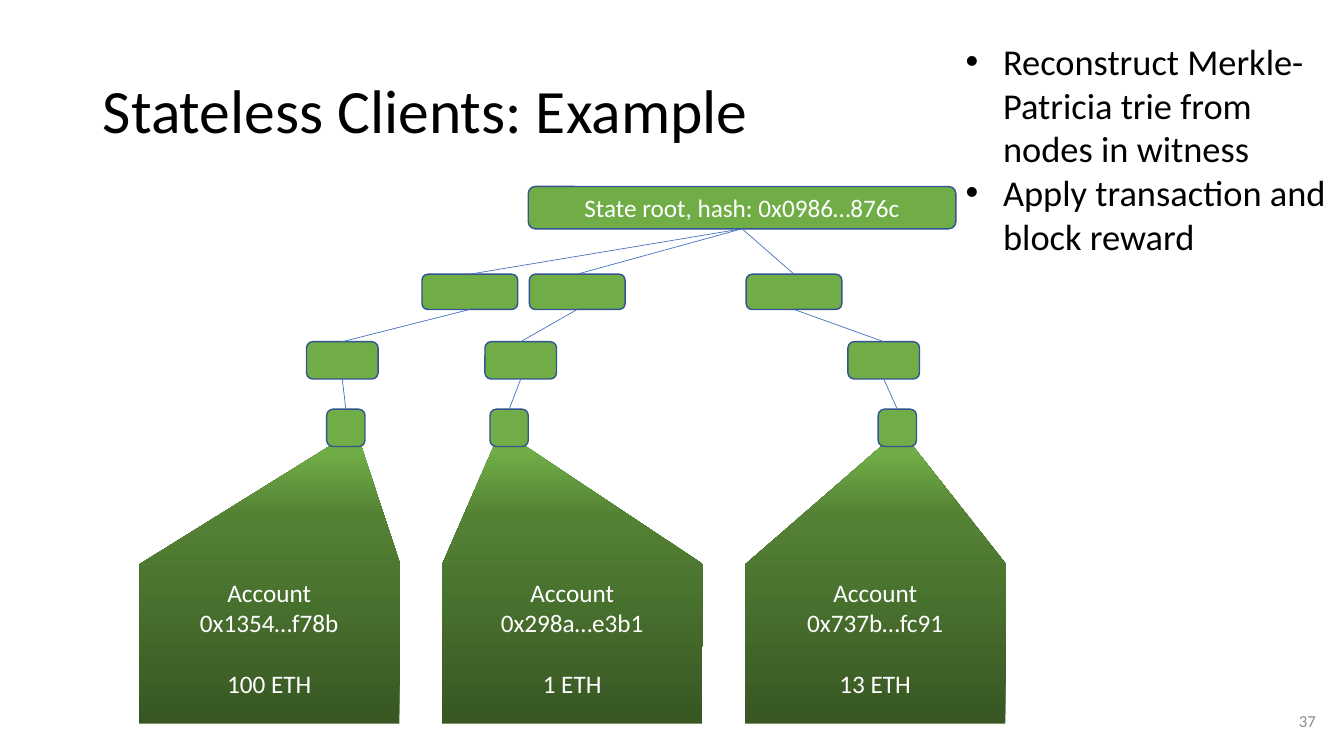
from copy import deepcopy

from lxml import etree
from pptx import Presentation
from pptx import util as u
from pptx.dml.color import RGBColor
from pptx.enum import shapes, text
from pptx.oxml import ns

BLACK = RGBColor(0x00, 0x00, 0x00)
WHITE = RGBColor(0xFF, 0xFF, 0xFF)
GREY = RGBColor(0x8C, 0x8C, 0x8C)
GREEN = RGBColor(0x70, 0xAD, 0x47)
MID_GREEN = RGBColor(0x54, 0x82, 0x35)
DARK_GREEN = RGBColor(0x38, 0x57, 0x23)
BORDER = RGBColor(0x32, 0x54, 0x91)
EDGE = RGBColor(0x44, 0x72, 0xC4)
FONT = "Calibri"

WIDTH, HEIGHT = u.Inches(13.33), u.Inches(7.5)
CELL = HEIGHT / 75
BRANCH_PITCH = 30.05
NODE_ROWS = [(8.7, 9.5, 3.5), (15.4, 7.1, 3.7), (22.1, 3.8, 3.7)]
BRANCHES = [
    ((32.8, 20.15, 20.5), "0x1354…f78b", "100 ETH"),
    ((43.45, 37.85, 36.7), "0x298a…e3b1", "1 ETH"),
    ((64.95, 73.85, 75.2), "0x737b…fc91", "13 ETH"),
]


def grid(*cells):
    return [u.Emu(round(cell * CELL)) for cell in cells]


def write(frame, lines, size, color=BLACK, align=text.PP_ALIGN.LEFT,
          anchor=text.MSO_ANCHOR.TOP, bullet=False, gaps=(), spacing=None):
    frame.word_wrap = True
    frame.vertical_anchor = anchor
    for index, line in enumerate(lines):
        paragraph = frame.paragraphs[0] if index == 0 else frame.add_paragraph()
        paragraph.alignment = align
        if spacing:
            paragraph.line_spacing = spacing
        if index in gaps:
            paragraph.space_before = u.Pt(size * 1.22)
        if bullet:
            properties = paragraph._p.get_or_add_pPr()
            indent = u.Inches(0.37)
            properties.set("marL", str(indent))
            properties.set("indent", str(-indent))
            etree.SubElement(properties, ns.qn("a:buFont"), typeface="Arial")
            etree.SubElement(properties, ns.qn("a:buChar"), char="•")
        run = paragraph.add_run()
        run.text = line
        run.font.name = FONT
        run.font.size = u.Pt(size)
        run.font.color.rgb = color


def add_text(slide, box, lines, size, **style):
    frame = slide.shapes.add_textbox(*grid(*box)).text_frame
    write(frame, lines, size, **style)


def add_title(slide, box, wording):
    title = slide.shapes.title
    title.left, title.top, title.width, title.height = grid(*box)
    write(title.text_frame, [wording], 44, anchor=text.MSO_ANCHOR.MIDDLE, spacing=0.9)


def add_node(slide, box):
    node = slide.shapes.add_shape(shapes.MSO_SHAPE.ROUNDED_RECTANGLE, *grid(*box))
    node.shadow.inherit = False
    node.fill.solid()
    node.fill.fore_color.rgb = GREEN
    node.line.color.rgb = BORDER
    node.line.width = u.Pt(1)
    return node


def join(slide, child, parent):
    edge = slide.shapes.add_connector(shapes.MSO_CONNECTOR.STRAIGHT, 0, 0, 0, 0)
    edge.begin_connect(child, 0)
    edge.end_connect(parent, 2)
    edge.line.color.rgb = EDGE
    edge.line.width = u.Pt(0.5)
    etree.SubElement(edge._element.spPr, ns.qn("a:effectLst"))


def add_subtree(slide, box, apex):
    left, top, width, height = box
    right, bottom = left + width, top + height
    shoulder = top + 11.8
    outline = [(apex - 1.5, top), (apex + 1.5, top), (right, shoulder),
               (right - 0.1, bottom), (left, bottom), (left, shoulder)]
    points = [grid(*point) for point in outline]
    builder = slide.shapes.build_freeform(*points[0])
    builder.add_line_segments(points[1:], close=True)
    subtree = builder.convert_to_shape()
    subtree.shadow.inherit = False
    subtree.line.fill.background()
    subtree.fill.gradient()
    subtree.fill.gradient_angle = 90
    stops = subtree._element.spPr.find(".//" + ns.qn("a:gsLst"))
    stops.append(deepcopy(stops[0]))
    shades = [(0, DARK_GREEN), (0.75, MID_GREEN), (0.98, GREEN)]
    for stop, (position, color) in zip(subtree.fill.gradient_stops, shades):
        stop.position = position
        stop.color.rgb = color


def add_state_tree(slide, box):
    left, top, _, height = box
    root = add_node(slide, (left + 38.6, top, 42.4, 4.2))
    write(root.text_frame, ["State root, hash: 0x0986…876c"], 18, color=WHITE,
          align=text.PP_ALIGN.CENTER, anchor=text.MSO_ANCHOR.MIDDLE)
    for index, (centres, address, balance) in enumerate(BRANCHES):
        account_left = left + index * BRANCH_PITCH
        add_subtree(slide, (account_left, top + 25.7, 25.9, height - 25.7),
                    left + centres[-1])
        parent = root
        for centre, (row, width, depth) in zip(centres, NODE_ROWS):
            node = add_node(slide, (left + centre - width / 2, top + row, width, depth))
            join(slide, node, parent)
            parent = node
        add_text(slide, (account_left, top + 38.3, 25.8, 13.1),
                 ["Account", address, balance], 18, color=WHITE,
                 align=text.PP_ALIGN.CENTER, gaps=(2,))


def main():
    deck = Presentation()
    deck.slide_width, deck.slide_height = WIDTH, HEIGHT
    slide = deck.slides.add_slide(deck.slide_layouts[5])
    add_title(slide, (9.2, 4, 115, 14.5), "Stateless Clients: Example")
    add_state_tree(slide, (13.8, 18.5, 86, 53.3))
    add_text(slide, (94.8, 3.4, 38.5, 22.9),
             ["Reconstruct Merkle-Patricia trie from nodes in witness",
              "Apply transaction and block reward"], 26, bullet=True)
    add_text(slide, (101.5, 69.5, 30, 4), ["37"], 12, color=GREY,
             align=text.PP_ALIGN.RIGHT, anchor=text.MSO_ANCHOR.MIDDLE)
    deck.save("out.pptx")


if __name__ == "__main__":
    main()
